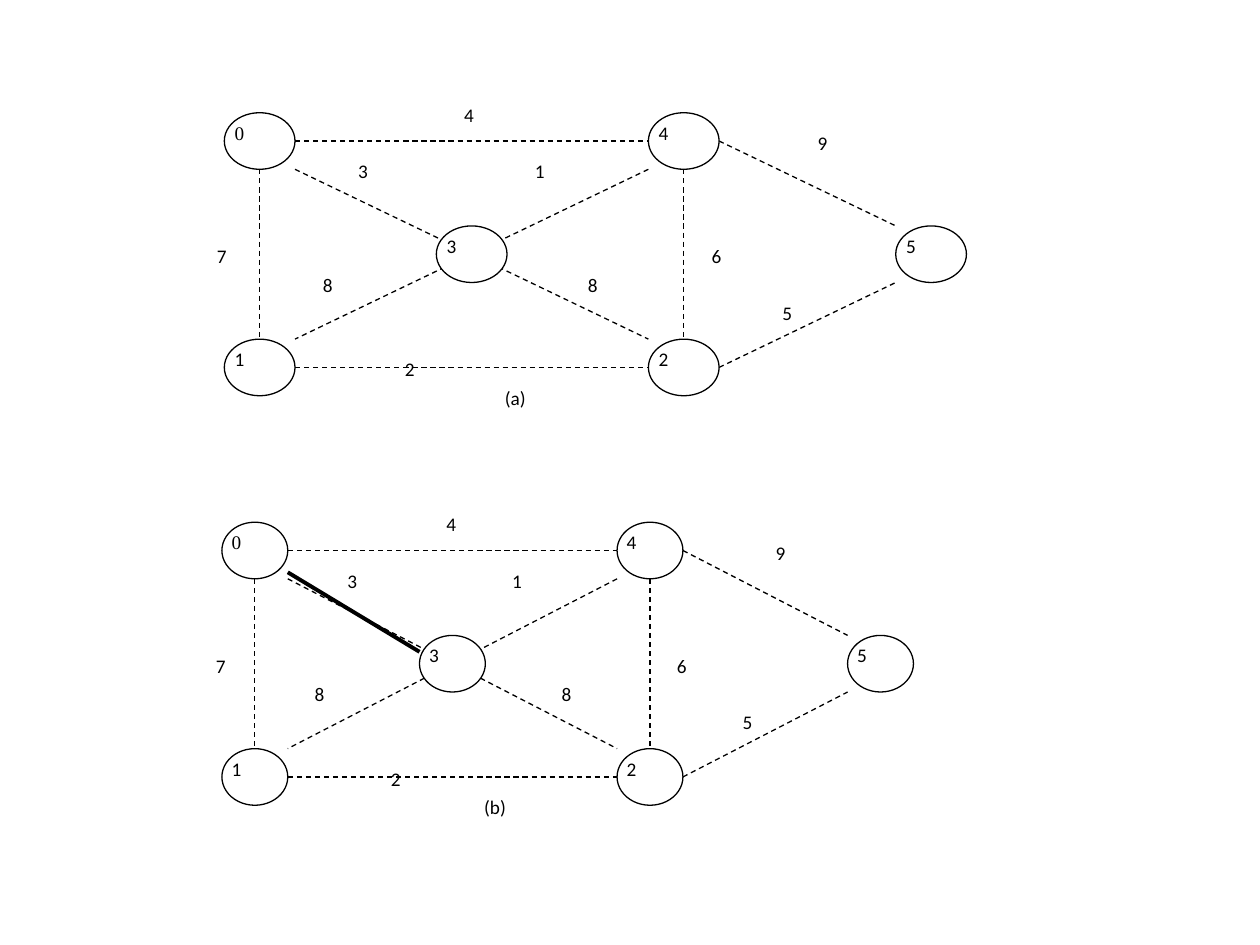
from lxml import etree
from pptx import Presentation
from pptx.dml.color import RGBColor
from pptx.enum import dml, shapes, text
from pptx.oxml import ns
from pptx.util import Inches, Pt

BLACK = RGBColor(0x00, 0x00, 0x00)
WHITE = RGBColor(0xFF, 0xFF, 0xFF)

COLUMNS, ROWS = 22, 13
NODES = [("0", 1, 1), ("1", 1, 9), ("3", 7, 5), ("4", 13, 1), ("2", 13, 9), ("5", 20, 5)]
EDGES = [
    ((13, 3), (3, 9)),
    ((3, 3), (13, 9)),
    ((2, 3), (2, 9)),
    ((14, 3), (14, 9)),
    ((3, 2), (13, 2)),
    ((3, 10), (13, 10)),
    ((15, 2), (20, 5)),
    ((15, 10), (20, 7)),
]
WEIGHTS = [
    ("3", 4, 2), ("1", 9, 2), ("6", 14, 5), ("5", 16, 7), ("2", 5.32, 9),
    ("7", 0, 5), ("8", 3, 6), ("9", 17, 1), ("4", 7, 0),
]
HIDDEN_WEIGHT = ("8", 10.5, 6)
CHOSEN_EDGE = ((7, 5.58), (3, 2.77))


def write_text(shape, content, font="Calibri", size=11, color=BLACK, margins=(0, 0)):
    """Write left-aligned text at the top of a shape."""
    frame = shape.text_frame
    frame.word_wrap = True
    frame.vertical_anchor = text.MSO_ANCHOR.TOP
    frame.margin_left = frame.margin_right = Inches(margins[0])
    frame.margin_top = frame.margin_bottom = Inches(margins[1])
    paragraph = frame.paragraphs[0]
    paragraph.alignment = text.PP_ALIGN.LEFT
    paragraph.space_after = Pt(10)
    run = paragraph.add_run()
    run.text = content
    run.font.name = font
    run.font.size = Pt(size)
    run.font.color.rgb = color


def add_ellipse(group, left, top, width, height):
    """Add a plain ellipse without fill, line or shadow."""
    ellipse = group.shapes.add_shape(
        shapes.MSO_SHAPE.OVAL, Inches(left), Inches(top), Inches(width), Inches(height)
    )
    ellipse.shadow.inherit = False
    ellipse.fill.background()
    ellipse.line.fill.background()
    return ellipse


def add_edge(group, start, end, weight=0.75, dashed=True):
    """Add a straight black edge between two points in inches."""
    edge = group.shapes.add_connector(
        shapes.MSO_CONNECTOR.STRAIGHT, *(Inches(value) for value in (*start, *end))
    )
    edge.line.color.rgb = BLACK
    edge.line.width = Pt(weight)
    if dashed:
        edge.line.dash_style = dml.MSO_LINE.DASH
    etree.SubElement(edge._element.spPr, ns.qn("a:effectLst"))


def add_graph(slide, left, top, width, height, caption, chosen_edge=None):
    """Draw the weighted graph on a 22 by 13 grid inside the given box."""
    group = slide.shapes.add_group_shape()
    column, row = width / COLUMNS, height / ROWS

    def point(position):
        """Turn a grid position into inches."""
        return left + position[0] * column, top + position[1] * row

    def add_label(content, x, y, columns=3):
        """Add a text-only ellipse at a grid position."""
        label = add_ellipse(group, *point((x, y)), columns * column, 3 * row)
        write_text(label, content, margins=(0.1, 0.05))

    add_label(*HIDDEN_WEIGHT)
    for start, end in EDGES:
        add_edge(group, point(start), point(end))
    for name, x, y in NODES:
        node = add_ellipse(group, *point((x, y)), 2 * column, 2 * row)
        node.fill.solid()
        node.fill.fore_color.rgb = WHITE
        node.line.color.rgb = BLACK
        node.line.width = Pt(0.75)
        write_text(node, name, font="Times New Roman" if name == "0" else "Calibri")
    for weight in WEIGHTS:
        add_label(*weight)
    add_label(caption, 8, 10, columns=4)
    if chosen_edge:
        start, end = chosen_edge
        add_edge(group, point(start), point(end), weight=2.25, dashed=False)


def main():
    """Build the slide with both stages of the graph."""
    presentation = Presentation()
    presentation.slide_width = Inches(10)
    presentation.slide_height = Inches(7.5)
    slide = presentation.slides.add_slide(presentation.slide_layouts[6])
    add_graph(slide, 1.5, 0.67, 6.17, 2.92, "(a)")
    add_graph(slide, 1.5, 3.92, 5.75, 2.92, "(b)", CHOSEN_EDGE)
    presentation.save("out.pptx")


if __name__ == "__main__":
    main()
